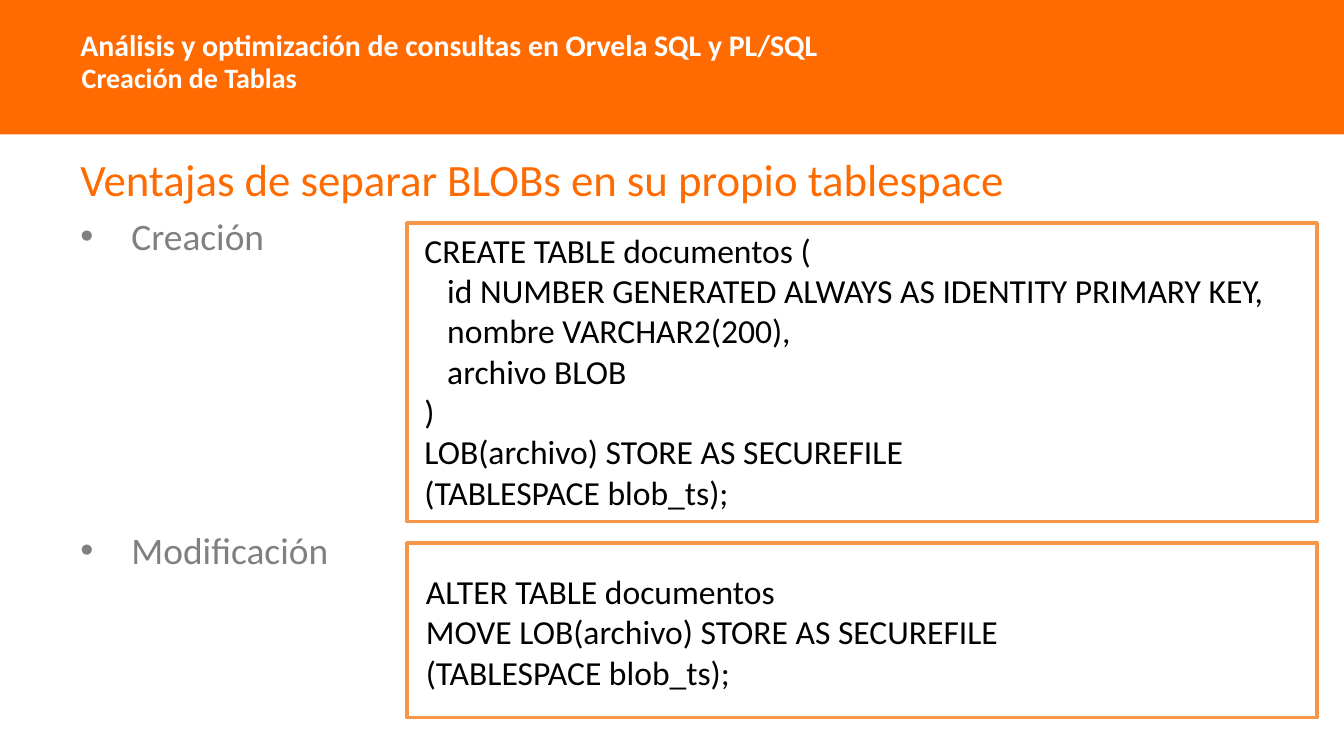
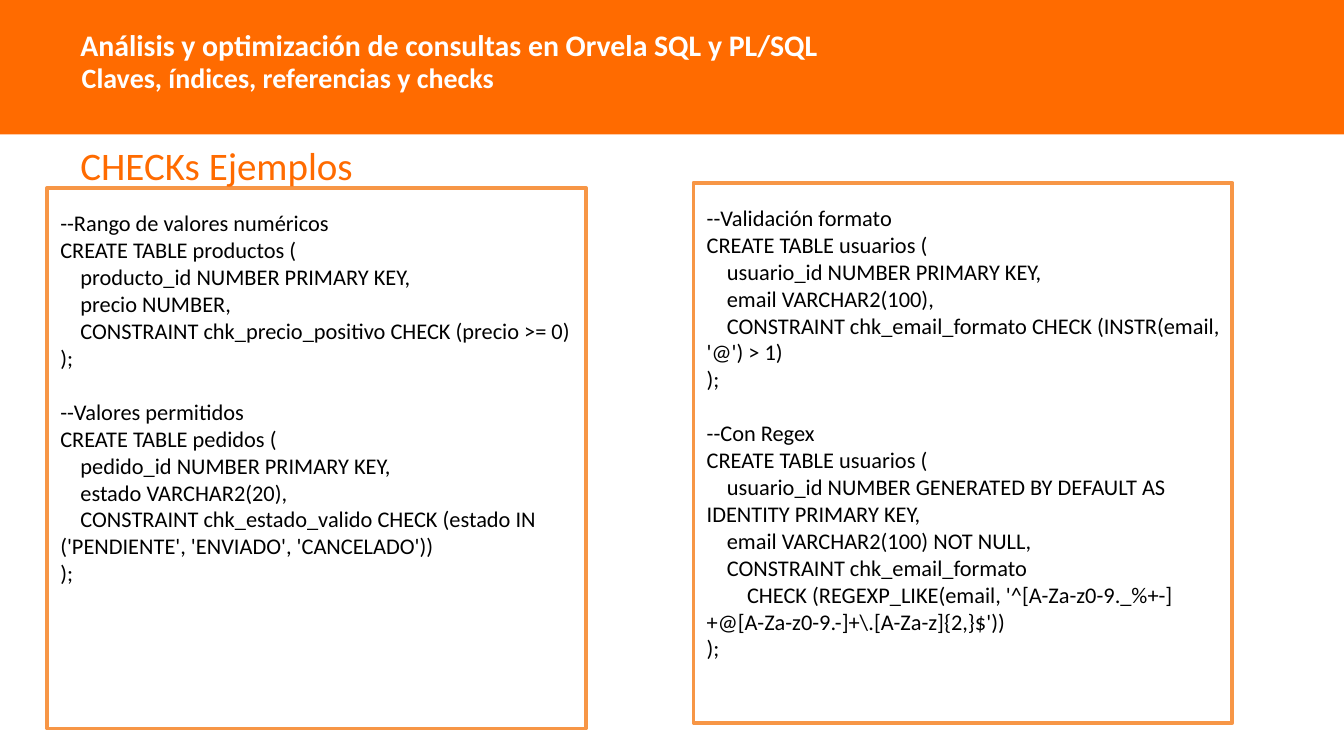
from lxml import etree
from pptx import Presentation
from pptx.dml.color import RGBColor
from pptx.enum.shapes import MSO_SHAPE
from pptx.enum.text import MSO_ANCHOR, PP_ALIGN
from pptx.oxml.ns import qn
from pptx.util import Inches, Pt

RECT = MSO_SHAPE.RECTANGLE
TOP, MIDDLE = MSO_ANCHOR.TOP, MSO_ANCHOR.MIDDLE
LEFT = PP_ALIGN.LEFT

# Content
COURSE = "Análisis y optimización de consultas en Orvela SQL y PL/SQL"

STEPS = ["Creación", "Modificación"]

# Each panel: frame, text box, size, and its statements
SLIDES = [
    {
        "topic": "Creación de Tablas",
        "head": "Ventajas de separar BLOBs en su propio tablespace",
        "size": 24, "at": (0.5, 1.08, 9.3, 0.46),
        "steps": STEPS,
        "panels": [
            ((3.03, 1.66, 6.77, 2.22), (3.06, 1.66, 6.61, 2.22), 18, ["""\
CREATE TABLE documentos (
   id NUMBER GENERATED ALWAYS AS IDENTITY PRIMARY KEY,
   nombre VARCHAR2(200),
   archivo BLOB
)
LOB(archivo) STORE AS SECUREFILE
(TABLESPACE blob_ts);"""]),
            ((3.03, 4.04, 6.77, 1.3), (3.07, 4.2, 4.78, 1.01), 18, ["""\
ALTER TABLE documentos
MOVE LOB(archivo) STORE AS SECUREFILE
(TABLESPACE blob_ts);"""]),
        ],
    },
    {
        "topic": "Claves, índices, referencias y checks",
        "head": "CHECKs Ejemplos",
        "size": 20.9, "at": (0.5, 1, 9.38, 0.39),
        "steps": [],
        "panels": [
            ((0.35, 1.4, 4.01, 4.02), (0.35, 1.51, 4.08, 2.93), 12, ["""\
--Rango de valores numéricos
CREATE TABLE productos (
    producto_id NUMBER PRIMARY KEY,
    precio NUMBER,
    CONSTRAINT chk_precio_positivo CHECK (precio >= 0)
);""", """\
--Valores permitidos
CREATE TABLE pedidos (
    pedido_id NUMBER PRIMARY KEY,
    estado VARCHAR2(20),
    CONSTRAINT chk_estado_valido CHECK (estado IN ('PENDIENTE', 'ENVIADO', 'CANCELADO'))
);"""]),
            ((5.16, 1.36, 4.01, 4.02), (5.16, 1.47, 4.08, 3.53), 12, ["""\
--Validación formato
CREATE TABLE usuarios (
    usuario_id NUMBER PRIMARY KEY,
    email VARCHAR2(100),
    CONSTRAINT chk_email_formato CHECK (INSTR(email, '@') > 1)
);""", r"""--Con Regex
CREATE TABLE usuarios (
    usuario_id NUMBER GENERATED BY DEFAULT AS IDENTITY PRIMARY KEY,
    email VARCHAR2(100) NOT NULL,
    CONSTRAINT chk_email_formato
        CHECK (REGEXP_LIKE(email, '^[A-Za-z0-9._%+-]+@[A-Za-z0-9.-]+\.[A-Za-z]{2,}$'))
);"""]),
        ],
    },
]

# Shared style
WIDE, BAND = 10, 1
HIGH = WIDE * 9 / 16
ORANGE, EDGE, GREY, WHITE, BLACK = "FF6B00", "F79646", "808080", "FFFFFF", "000000"
FONT, LINE = "Calibri", 1.22
INDENT = 0.38
STEP_AT, STEP_GAP = (0.5, 1.54, 2.5, 2.9), 144


def paint(hue):
    return RGBColor.from_string(hue)


def box(slide, at, fill, edge=None):
    shape = slide.shapes.add_shape(RECT, *map(Inches, at))
    shape.shadow.inherit = False
    shape.fill.solid()
    shape.fill.fore_color.rgb = paint(fill)
    if edge:
        shape.line.color.rgb = paint(edge)
        shape.line.width = Pt(2)
    else:
        shape.line.fill.background()


def bullet(para):
    props = para._p.get_or_add_pPr()
    props.set("marL", str(Inches(INDENT)))
    props.set("indent", str(-Inches(INDENT)))
    etree.SubElement(props, qn("a:buFont"), typeface="Arial")
    etree.SubElement(props, qn("a:buChar"), char="•")


def write(slide, at, lines, size, hue, bold=False, anchor=TOP,
          gaps=None, dots=False, pitch=None):
    """Write one paragraph per line; gaps maps a line number to space before."""
    frame = slide.shapes.add_textbox(*map(Inches, at)).text_frame
    frame.word_wrap = True
    frame.vertical_anchor = anchor
    look = {"name": FONT, "size": Pt(size), "bold": bold}
    for num, line in enumerate(lines):
        para = frame.paragraphs[0] if num == 0 else frame.add_paragraph()
        if dots:
            bullet(para)
        para.alignment = LEFT
        if pitch:
            para.line_spacing = pitch
        if gaps and num in gaps:
            para.space_before = Pt(gaps[num])
        run = para.add_run()
        run.text = line
        for key, value in look.items():
            setattr(run.font, key, value)
        run.font.color.rgb = paint(hue)


def panel(slide, frame, at, size, blocks):
    box(slide, frame, WHITE, EDGE)
    lines, gaps = [], {}
    for block in blocks:
        if lines:
            gaps[len(lines)] = round(size * LINE, 1)  # one empty line
        lines += block.split("\n")
    write(slide, at, lines, size, BLACK, gaps=gaps)


def build(deck, data):
    slide = deck.slides.add_slide(deck.slide_layouts[6])
    # Band with course and topic
    box(slide, (0, 0, WIDE, BAND), ORANGE)
    write(slide, (0.5, 0.21, 7.57, 0.24), [COURSE], 16, WHITE, True, MIDDLE)
    write(slide, (0.51, 0.45, 7.56, 0.31), [data["topic"]], 15, WHITE, True, pitch=0.8)
    # Code panels
    for part in data["panels"]:
        panel(slide, *part)
    # Heading and steps
    write(slide, data["at"], [data["head"]], data["size"], ORANGE)
    if data["steps"]:
        write(slide, STEP_AT, data["steps"], 20, GREY, gaps={1: STEP_GAP}, dots=True)


def main():
    deck = Presentation()
    deck.slide_width, deck.slide_height = Inches(WIDE), Inches(HIGH)
    for data in SLIDES:
        build(deck, data)
    deck.save("out.pptx")


if __name__ == "__main__":
    main()
